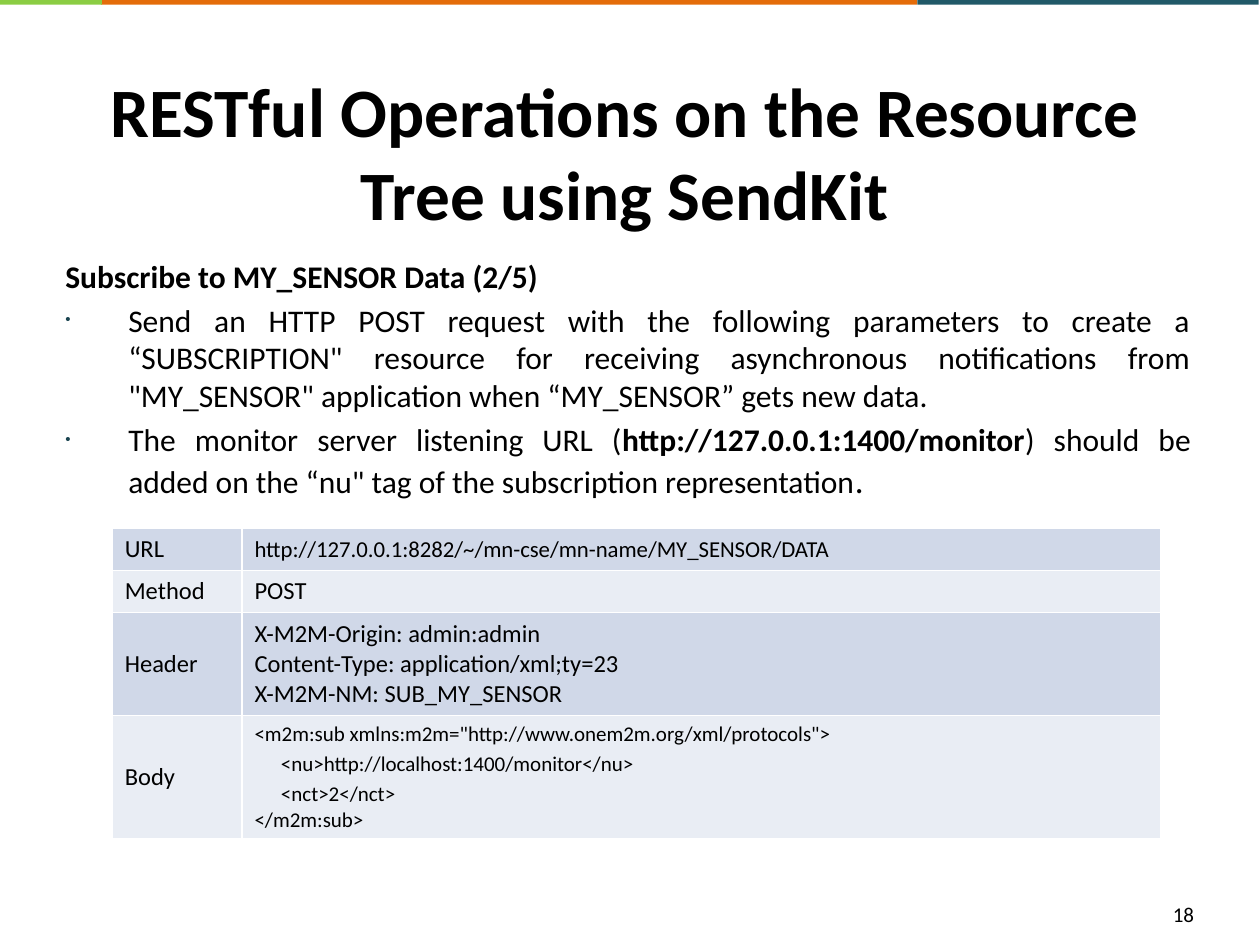
from lxml.etree import SubElement as Sub
from pptx import Presentation
from pptx.dml.color import RGBColor as RGB
from pptx.enum.shapes import MSO_SHAPE as Shape
from pptx.enum.text import MSO_ANCHOR as Anchor, PP_ALIGN as Align
from pptx.oxml.ns import qn
from pptx.util import Inches, Pt

BLACK = RGB(0x00, 0x00, 0x00)
WHITE = RGB(0xFF, 0xFF, 0xFF)
GREEN = RGB(0x8B, 0xCD, 0x43)
ORANGE = RGB(0xE4, 0x6C, 0x0A)
TEAL = RGB(0x21, 0x59, 0x68)
DARK = RGB(0x19, 0x43, 0x4F)
BANDS = [RGB(0xD0, 0xD8, 0xE8), RGB(0xE9, 0xED, 0xF4)]

deck = Presentation()
deck.slide_width, deck.slide_height = Inches(10), Inches(7.5)
wide, high = deck.slide_width, deck.slide_height
slide = deck.slides.add_slide(deck.slide_layouts[6])


def area(left, top, width, height):
    """Turn shares of the slide into lengths."""
    return int(left * wide), int(top * high), int(width * wide), int(height * high)


def write(frame, text, size=18, bold=False, align=Align.LEFT, before=0,
          indent=0, bullet=False, new=True):
    """Write one run, in a new paragraph or at the end of the last one."""
    frame.word_wrap = True
    if new and frame.paragraphs[-1].runs:
        frame.add_paragraph()
    para = frame.paragraphs[-1]
    if new:
        para.alignment, para.space_before = align, Pt(before)
        props = para._p.get_or_add_pPr()
        props.set("marL", str(Inches(indent)))
        props.set("indent", str(-Inches(indent) if bullet else 0))
        if bullet:
            tint = Sub(props, qn("a:buClr"))
            Sub(tint, qn("a:srgbClr"), val=str(DARK))
            Sub(props, qn("a:buSzPct"), val="48000")
            Sub(props, qn("a:buFont"), typeface="Arial")
            Sub(props, qn("a:buChar"), char="•")
    for row, line in enumerate(text.split("\n")):
        if row:
            para.add_line_break()
        run = para.add_run()
        run.text = line
        font = run.font
        font.name, font.size, font.bold = "Calibri", Pt(size), bold
        font.color.rgb = BLACK


# Coloured strip along the top edge
for left, width, color in [(0.08, 0.648, ORANGE), (0.728, 0.271, TEAL), (-0.005, 0.086, GREEN)]:
    bar = slide.shapes.add_shape(Shape.RECTANGLE, *area(left, -0.001, width, 0.006))
    bar.shadow.inherit = False
    bar.fill.solid()
    bar.fill.fore_color.rgb = color
    bar.line.fill.background()

# Title
title = slide.shapes.add_textbox(*area(0.046, 0.087, 0.9, 0.147)).text_frame
title.vertical_anchor = Anchor.MIDDLE
write(title, "RESTful Operations on the Resource Tree using SendKit",
      size=39.6, bold=True, align=Align.CENTER)

# Heading and bullets
body = slide.shapes.add_textbox(*area(0.042, 0.265, 0.913, 0.587)).text_frame
point = dict(align=Align.JUSTIFY, before=3.6, indent=0.5, bullet=True)
write(body, "Subscribe to MY_SENSOR Data (2/5)", bold=True, before=3.6)
write(body, "Send an HTTP POST request with the following parameters to create a "
      "“SUBSCRIPTION\" resource for receiving asynchronous notifications from "
      "\"MY_SENSOR\" application when “MY_SENSOR” gets new data.", **point)
write(body, "The monitor server listening URL (", **point)
write(body, "http://127.0.0.1:1400/monitor", bold=True, new=False)
write(body, ") should be added on the “nu\" tag of the subscription representation", new=False)
write(body, ".", size=20, new=False)

# Request table: label, height, then text, size, indent and space of each paragraph
rows = [
    ("URL", 0.33, [("http://127.0.0.1:8282/~/mn-cse/mn-name/MY_SENSOR/DATA", 13, 0, 0)]),
    ("Method", 0.33, [("POST", 14, 0, 0)]),
    ("Header", 0.82, [("X-M2M-Origin: admin:admin\nContent-Type: application/xml;ty=23\n"
                       "X-M2M-NM: SUB_MY_SENSOR", 14, 0, 0)]),
    ("Body", 0.98, [("<m2m:sub xmlns:m2m=\"http://www.onem2m.org/xml/protocols\">", 12, 0, 0),
                    ("<nu>http://localhost:1400/monitor</nu>", 12, 0.21, 2.4),
                    ("<nct>2</nct>", 12, 0.21, 2.4),
                    ("</m2m:sub>", 12, 0, 0)]),
]
grid = slide.shapes.add_table(len(rows), 2, *area(0.089, 0.559, 0.832, 0.328)).table
grid.first_row = grid.horz_banding = False
for col, width in zip(grid.columns, (1.03, 7.29)):
    col.width = Inches(width)
for num, (label, height, lines) in enumerate(rows):
    grid.rows[num].height = Inches(height)
    for cell, parts in zip(grid.rows[num].cells, ([(label, 14, 0, 0)], lines)):
        for text, size, indent, before in parts:
            write(cell.text_frame, text, size=size, indent=indent, before=before)
        cell.vertical_anchor = Anchor.MIDDLE
        props = cell._tc.get_or_add_tcPr()
        for side in "LRTB":
            edge = Sub(props, qn("a:ln" + side), w=str(Pt(1)))
            Sub(Sub(edge, qn("a:solidFill")), qn("a:srgbClr"), val=str(WHITE))
        cell.fill.solid()
        cell.fill.fore_color.rgb = BANDS[num % 2]

# Slide number
page = slide.shapes.add_textbox(*area(0.921, 0.947, 0.064, 0.053)).text_frame
write(page, "18", size=12)

deck.save("out.pptx")
